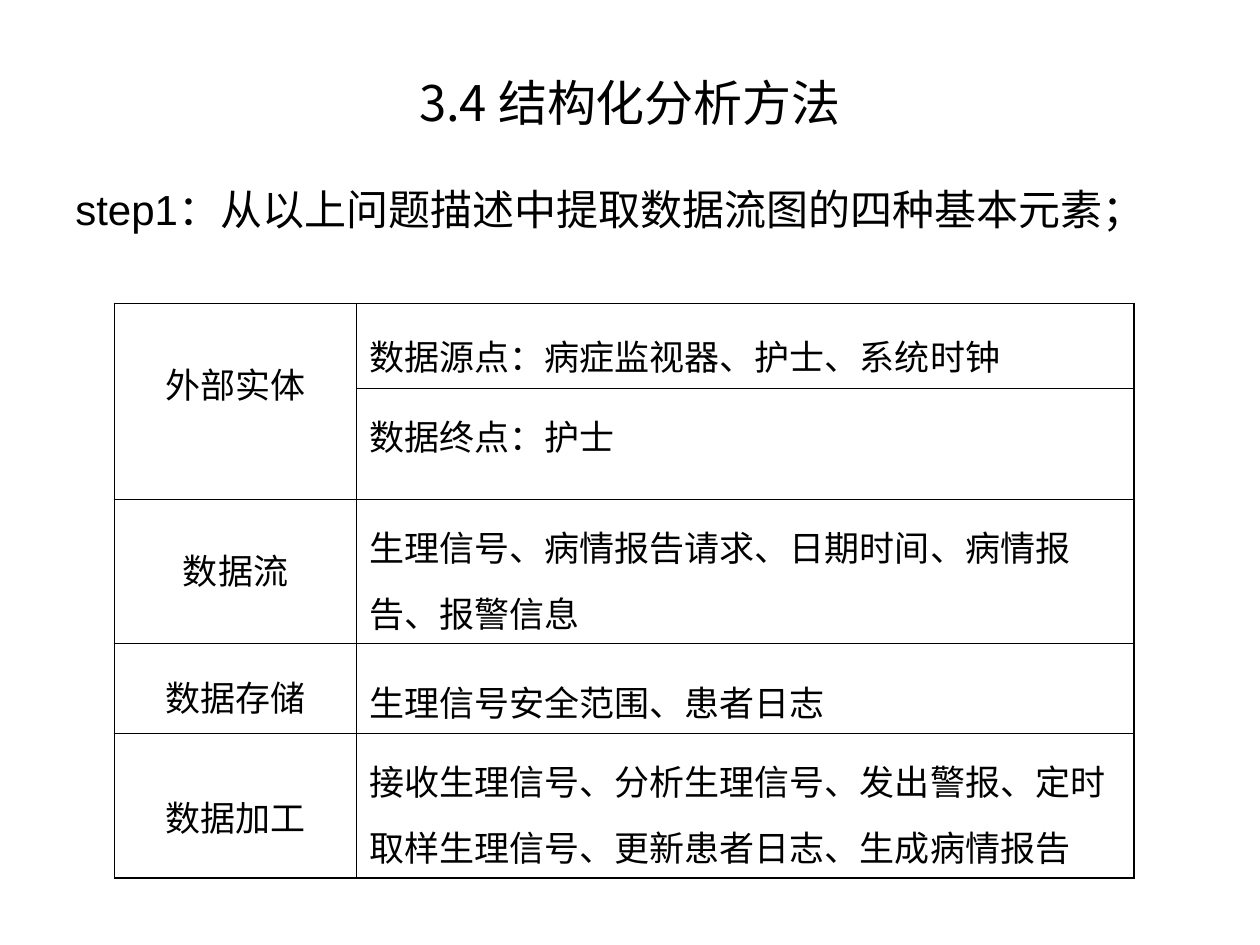
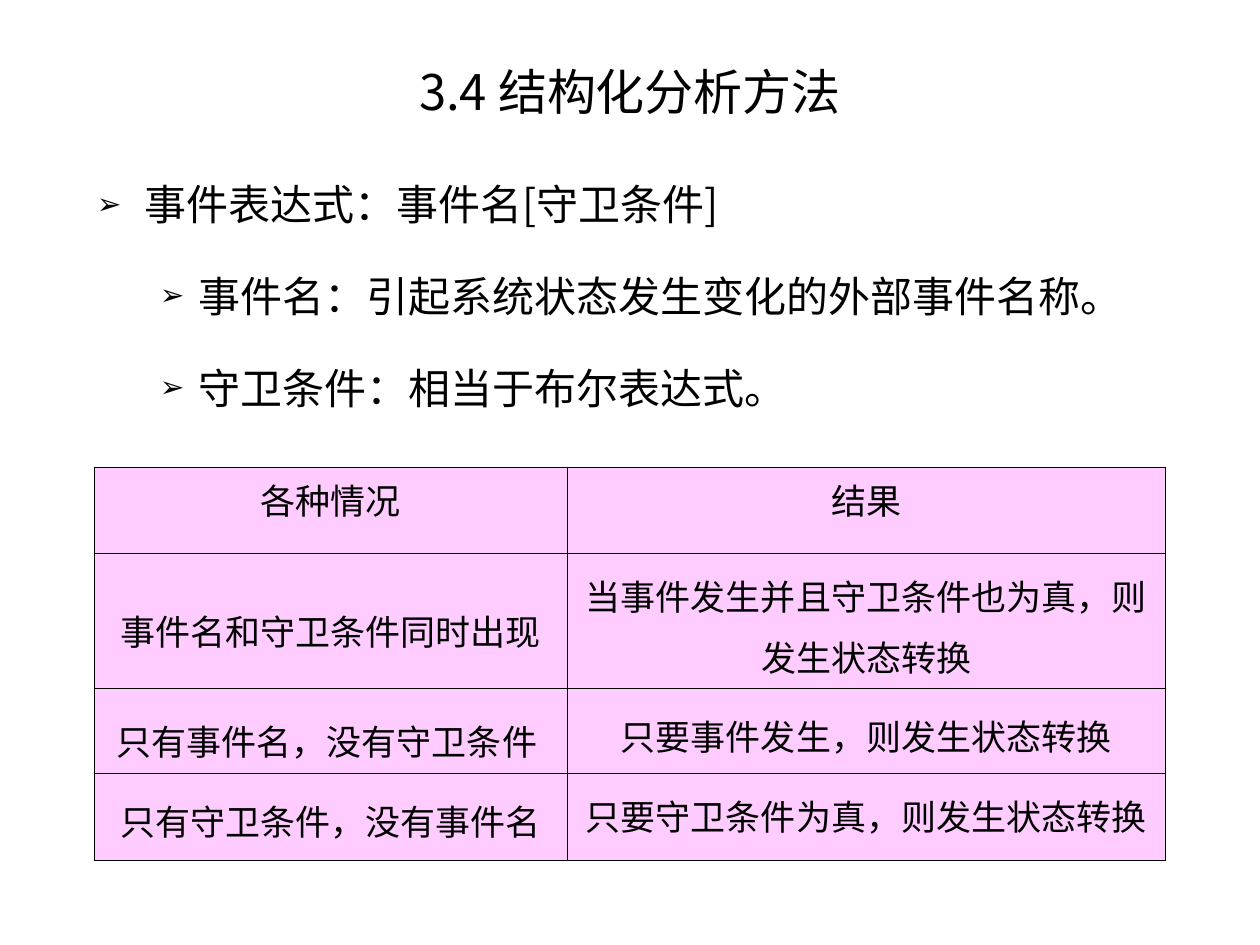
from dataclasses import dataclass

from lxml.etree import SubElement
from pptx import Presentation
from pptx.dml.color import RGBColor
from pptx.enum.lang import MSO_LANGUAGE_ID
from pptx.enum.text import MSO_ANCHOR, PP_ALIGN
from pptx.oxml.ns import qn
from pptx.util import Inches, Pt

BLACK = RGBColor(0x00, 0x00, 0x00)
PINK = RGBColor(0xFF, 0xCC, 0xFF)
LATIN = "Arial"
CJK = "Noto Sans CJK SC"
TITLE = "3.4 结构化分析方法"
OUTER_RULE = Pt(1.08)
INNER_RULE = Pt(0.45)
CELL_INSET = 0.05


@dataclass(frozen=True)
class Entry:
    text: str
    line_spacing: float = 1.0
    drop: float = 0.0
    rows: int = 1


@dataclass(frozen=True)
class Grid:
    left: float
    top: float
    columns: tuple[float, ...]
    heights: tuple[float, ...]
    aligns: tuple[PP_ALIGN, ...]
    entries: tuple[tuple[Entry | None, ...], ...]
    fill: RGBColor | None = None


@dataclass(frozen=True)
class Line:
    runs: tuple[tuple[str, str], ...]
    indent: float
    hanging: float
    space_before: float
    line_spacing: float = 1.0
    level: int = 0
    bullet: str = ""


ELEMENTS = Grid(
    0.91, 2.41, (1.92, 6.17), (0.67, 0.88, 1.15, 0.71, 1.15),
    (PP_ALIGN.CENTER, PP_ALIGN.LEFT),
    (
        (Entry("外部实体", drop=0.38, rows=2),
         Entry("数据源点：病症监视器、护士、系统时钟", 1.4)),
        (None, Entry("数据终点：护士", 1.3)),
        (Entry("数据流", drop=0.31),
         Entry("生理信号、病情报告请求、日期时间、病情报告、报警信息", 1.3)),
        (Entry("数据存储", 1.4), Entry("生理信号安全范围、患者日志", 1.5)),
        (Entry("数据加工", 2),
         Entry("接收生理信号、分析生理信号、发出警报、定时取样生理信号、更新患者日志、生成病情报告", 1.3)),
    ),
)

OUTCOMES = Grid(
    0.75, 3.71, (3.75, 4.75), (0.68, 1.07, 0.68, 0.69),
    (PP_ALIGN.CENTER, PP_ALIGN.CENTER),
    (
        (Entry("各种情况"), Entry("结果")),
        (Entry("事件名和守卫条件同时出现", 1.9),
         Entry("当事件发生并且守卫条件也为真，则发生状态转换", 1.2)),
        (Entry("只有事件名，没有守卫条件 ", 1.4),
         Entry("只要事件发生，则发生状态转换", 1.3)),
        (Entry("只有守卫条件，没有事件名", 1.3),
         Entry("只要守卫条件为真，则发生状态转换", 1.2)),
    ),
    PINK,
)

STEP = (
    Line((("step1：", LATIN), ("从以上问题描述中提取数据流图的四种基本元素；", CJK)),
         0.38, -0.38, 6),
)


def event_line(*runs: tuple[str, str], level: int = 0) -> Line:
    indent, hanging = ((0.38, -0.38), (0.81, -0.31))[level]
    return Line(runs, indent, hanging, 15, 1.3, level, "➢")


EVENTS = (
    event_line(("事件表达式：事件名", LATIN), ("[", CJK), ("守卫条件", LATIN), ("]", CJK)),
    event_line(("事件名：引起系统状态发生变化的外部事件名称。", LATIN), level=1),
    event_line(("守卫条件：相当于布尔表达式。", LATIN), level=1),
)


def style_text(paragraph, size: float, latin: str = LATIN) -> None:
    font = paragraph.font
    font.size = Pt(size)
    font.name = latin
    font.color.rgb = BLACK
    font.language_id = MSO_LANGUAGE_ID.SIMPLIFIED_CHINESE
    properties = paragraph._p.pPr
    properties.set("hangingPunct", "0")
    SubElement(properties.find(qn("a:defRPr")), qn("a:ea"), typeface=CJK)


def add_text_frame(slide, left: float, top: float, width: float, height: float):
    frame = slide.shapes.add_textbox(
        Inches(left), Inches(top), Inches(width), Inches(height)
    ).text_frame
    frame.word_wrap = True
    return frame


def add_title(slide, top: float) -> None:
    frame = add_text_frame(slide, 0.5, top, 9, 0.78)
    frame.vertical_anchor = MSO_ANCHOR.MIDDLE
    heading = frame.paragraphs[0]
    heading.text = TITLE
    heading.alignment = PP_ALIGN.CENTER
    style_text(heading, 28, CJK)


def add_bullet(properties, symbol: str) -> None:
    colour = SubElement(properties, qn("a:buClr"))
    SubElement(colour, qn("a:srgbClr"), val=str(BLACK))
    SubElement(properties, qn("a:buSzPct"), val="70000")
    SubElement(properties, qn("a:buFont"), typeface=LATIN)
    SubElement(properties, qn("a:buChar"), char=symbol)


def add_body(slide, left: float, top: float, height: float, lines: tuple[Line, ...]) -> None:
    frame = add_text_frame(slide, left, top, 9, height)
    for index, line in enumerate(lines):
        paragraph = frame.add_paragraph() if index else frame.paragraphs[0]
        paragraph.level = line.level
        paragraph.space_before = Pt(line.space_before)
        paragraph.line_spacing = line.line_spacing
        properties = paragraph._p.get_or_add_pPr()
        properties.set("marL", str(Inches(line.indent)))
        properties.set("indent", str(Inches(line.hanging)))
        if line.bullet:
            add_bullet(properties, line.bullet)
        style_text(paragraph, 24)
        for text, latin in line.runs:
            run = paragraph.add_run()
            run.text = text
            run.font.name = latin


def set_borders(cell, outer_sides: dict[str, bool]) -> None:
    properties = cell._tc.get_or_add_tcPr()
    for index, (side, is_outer) in enumerate(outer_sides.items()):
        rule = SubElement(properties, qn(f"a:ln{side}"),
                          w=str(OUTER_RULE if is_outer else INNER_RULE))
        fill = SubElement(rule, qn("a:solidFill"))
        SubElement(fill, qn("a:srgbClr"), val=str(BLACK))
        properties.insert(index, rule)


def fill_cell(cell, entry: Entry, align: PP_ALIGN) -> None:
    cell.margin_top = Inches(CELL_INSET + entry.drop)
    paragraph = cell.text_frame.paragraphs[0]
    paragraph.text = entry.text
    paragraph.alignment = align
    paragraph.line_spacing = entry.line_spacing
    paragraph.space_before = Pt(5)
    style_text(paragraph, 20)


def add_grid(slide, grid: Grid) -> None:
    last_row, last_column = len(grid.heights) - 1, len(grid.columns) - 1
    table = slide.shapes.add_table(
        last_row + 1, last_column + 1, Inches(grid.left), Inches(grid.top),
        Inches(sum(grid.columns)), Inches(sum(grid.heights)),
    ).table
    table.first_row = False
    table.horz_banding = False
    for column, width in zip(table.columns, grid.columns):
        column.width = Inches(width)
    for row, height in zip(table.rows, grid.heights):
        row.height = Inches(height)
    for r, entries in enumerate(grid.entries):
        for c, entry in enumerate(entries):
            cell = table.cell(r, c)
            if grid.fill is None:
                cell.fill.background()
            else:
                cell.fill.solid()
                cell.fill.fore_color.rgb = grid.fill
            set_borders(cell, {"L": c == 0, "R": c == last_column,
                               "T": r == 0, "B": r == last_row})
            if entry is None:
                continue
            if entry.rows > 1:
                cell.merge(table.cell(r + entry.rows - 1, c))
            fill_cell(cell, entry, grid.aligns[c])


def main() -> None:
    deck = Presentation()
    deck.slide_width, deck.slide_height = Inches(10), Inches(7.5)
    blank = deck.slide_layouts[6]

    elements_slide = deck.slides.add_slide(blank)
    add_body(elements_slide, 0.5, 1.41, 5.42, STEP)
    add_grid(elements_slide, ELEMENTS)
    add_title(elements_slide, 0.42)

    events_slide = deck.slides.add_slide(blank)
    add_body(events_slide, 0.67, 1.25, 5.58, EVENTS)
    add_grid(events_slide, OUTCOMES)
    add_title(events_slide, 0.33)

    deck.save("out.pptx")


if __name__ == "__main__":
    main()
